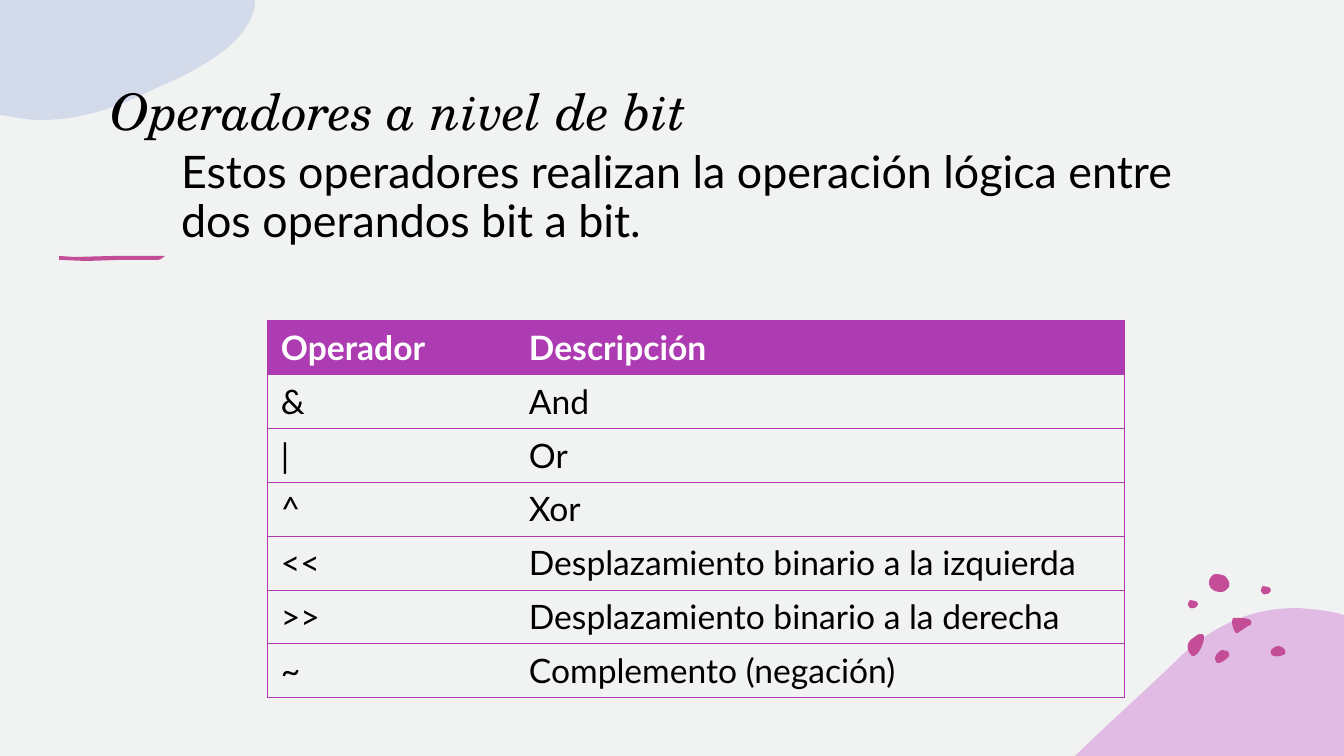
from dataclasses import dataclass

from lxml import etree
from pptx import Presentation
from pptx.dml.color import RGBColor
from pptx.enum.text import MSO_ANCHOR
from pptx.oxml.ns import qn
from pptx.util import Pt

PX = 914400 / 100.8
TOP, BOTTOM = MSO_ANCHOR.TOP, MSO_ANCHOR.BOTTOM
INSET_X, INSET_Y, CELL_BOTTOM = 14, 7, 6


@dataclass(frozen=True)
class Theme:
    """Colours, fonts and type sizes of the slide."""
    background: str = "F0F3F1"
    ink: str = "000000"
    header_ink: str = "FFFFFF"
    purple: str = "AD3BB1"
    orchid: str = "D384D6"
    periwinkle: str = "B8C5E7"
    magenta: str = "C34D96"
    title_font: str = "TeX Gyre Schola"
    body_font: str = "Lato"
    title_size: int = 36
    body_size: int = 32
    table_size: int = 24
    rule_width: float = 0.5


THEME = Theme()

CORNER_BLOB = [
    (0, 0), (255, 0), (255, 6), (247, 44, 202, 68, 159, 87),
    (124, 104, 87, 120, 41, 120), (31, 120, 22, 119, 13, 117), (0, 115),
]
HILL_BLOB = [
    (223, 0), (236, 1, 249, 2, 262, 5), (269, 7), (269, 148), (0, 148), (1, 147),
    (35, 114, 71, 82, 103, 51), (125, 29, 148, 16, 171, 8), (188, 2, 206, 0, 223, 0),
]
BRUSH_STROKE = [
    (1, 0), (17, 1), (54, 0), (107, 0), (103, 3), (100, 4), (60, 4), (28, 5), (3, 4), (1, 4),
]
PEBBLE = [
    (0, 5), (0, 5, 0, 1, 2, 0), (4, 0, 5, 0, 7, 1), (8, 1, 10, 2, 10, 4),
    (10, 5, 9, 7, 8, 7), (8, 7, 8, 8, 6, 8), (5, 8, 3, 9, 2, 8), (1, 6, 0, 6, 0, 5),
]
SPECKLES = [
    (28, 76, [
        (7, 0), (9, 0, 10, 0, 12, 1), (14, 2, 15, 4, 14, 6), (12, 9, 6, 14, 2, 13),
        (1, 12, 0, 10, 0, 8), (0, 6, 2, 3, 4, 2), (5, 1, 6, 0, 7, 0)]),
    (1, 60, [
        (12, 0), (14, 0, 16, 0, 16, 2), (16, 3, 16, 3, 16, 5), (15, 10, 13, 15, 10, 19),
        (8, 21, 5, 24, 3, 21), (0, 18, -1, 13, 0, 10), (1, 7, 3, 5, 5, 4),
        (6, 4, 9, 0, 12, 0)]),
    (84, 72, [
        (8, 0), (10, 0, 13, 2, 14, 4), (15, 6, 15, 8, 12, 9), (9, 11, 1, 11, 0, 8),
        (-1, 6, 0, 4, 1, 3), (3, 1, 5, 0, 8, 0)]),
    (22, 0, [
        (1, 12), (0, 12, -1, 6, 2, 3), (4, 1, 4, 0, 7, 0), (10, 0, 14, 1, 16, 2),
        (18, 4, 22, 9, 20, 13), (17, 16, 16, 18, 12, 18), (9, 18, 4, 17, 3, 15),
        (1, 14, 1, 13, 1, 12)]),
    (74, 12, PEBBLE),
    (1, 26, PEBBLE),
    (45, 44, [
        (5, 0), (11, 0, 22, 0, 19, 6), (19, 7, 18, 8, 16, 8), (13, 10, 10, 12, 7, 14),
        (6, 15, 5, 16, 4, 15), (4, 15, 3, 14, 3, 14), (1, 10, 0, 7, 0, 3),
        (0, 2, 0, 1, 1, 0), (2, 0, 4, 0, 5, 0)]),
]
OPERATORS = [
    ("Operador", "Descripción"),
    ("&", "And"),
    ("|", "Or"),
    ("^", "Xor"),
    ("<<", "Desplazamiento binario a la izquierda"),
    (">>", "Desplazamiento binario a la derecha"),
    ("~", "Complemento (negación)"),
]


def px(length):
    """Turn pixels into EMU."""
    return round(length * PX)


def rgb(code):
    """Turn a hex code into a colour."""
    return RGBColor.from_string(code)


def bend(blob, outline):
    """Turn the straight segments of a blob into the curves of its outline."""
    left = min(segment[-2] for segment in outline)
    top = min(segment[-1] for segment in outline)
    sides = list(blob._element.iter(qn("a:lnTo")))
    for side, segment in zip(sides, outline[1:]):
        if len(segment) == 2:
            continue
        curve = etree.Element(qn("a:cubicBezTo"))
        for x, y in zip(segment[::2], segment[1::2]):
            etree.SubElement(curve, qn("a:pt"), x=str(px(x - left)), y=str(px(y - top)))
        side.getparent().replace(side, curve)


def draw_blob(shapes, left, top, outline, color, opacity=100):
    """Draw one filled outline with its origin at left, top."""
    corners = [(px(left + segment[-2]), px(top + segment[-1])) for segment in outline]
    builder = shapes.build_freeform(*corners[0], scale=1.0)
    builder.add_line_segments(corners[1:], close=True)
    blob = builder.convert_to_shape()
    bend(blob, outline)
    blob.shadow.inherit = False
    blob.fill.solid()
    blob.fill.fore_color.rgb = rgb(color)
    blob.line.fill.background()
    if opacity < 100:
        tint = blob.fill._xPr.find(".//" + qn("a:srgbClr"))
        etree.SubElement(tint, qn("a:alpha"), val=str(opacity * 1000))


def write(frame, text, *, font, size, color=THEME.ink, bold=False, italic=False,
          spacing=1.0):
    """Put one formatted paragraph into a text frame."""
    paragraph = frame.paragraphs[0]
    paragraph.line_spacing = spacing
    run = paragraph.add_run()
    run.text = text
    run.font.name, run.font.size = font, Pt(size)
    run.font.bold, run.font.italic = bold, italic
    run.font.color.rgb = rgb(color)


def set_insets(holder, bottom=INSET_Y):
    """Give a text frame or a cell the common insets."""
    holder.margin_left = holder.margin_right = px(INSET_X)
    holder.margin_top, holder.margin_bottom = px(INSET_Y), px(bottom)


def add_text(shapes, box, text, anchor=TOP, **style):
    """Add a wrapping text box that fills the given box."""
    frame = shapes.add_textbox(*map(px, box)).text_frame
    frame.word_wrap = True
    frame.vertical_anchor = anchor
    set_insets(frame)
    write(frame, text, **style)


def set_borders(cell, visible):
    """Rule the visible sides of a cell and clear the others."""
    properties = cell._tc.get_or_add_tcPr()
    for side in "LRTB":
        rule = etree.SubElement(properties, qn(f"a:ln{side}"),
                                w=str(Pt(THEME.rule_width)))
        if side in visible:
            paint = etree.SubElement(rule, qn("a:solidFill"))
            etree.SubElement(paint, qn("a:srgbClr"), val=THEME.purple)
        else:
            etree.SubElement(rule, qn("a:noFill"))


def draw_decoration(shapes, width, height):
    """Place the blobs, speckles and brush stroke around the slide."""
    draw_blob(shapes, width - 269, height - 148, HILL_BLOB, THEME.orchid, 50)
    for x, y, outline in SPECKLES:
        draw_blob(shapes, width - 157 + x, height - 182 + y, outline, THEME.magenta)
    draw_blob(shapes, 0, 0, CORNER_BLOB, THEME.periwinkle, 50)
    draw_blob(shapes, 58, 256, BRUSH_STROKE, THEME.magenta)


def draw_heading(shapes, left, top, width):
    """Place the title and the introduction below it."""
    add_text(shapes, (left, top, width, 148), "Operadores a nivel de bit", BOTTOM,
             font=THEME.title_font, size=THEME.title_size, italic=True)
    add_text(shapes, (left + 71, top + 143, width - 100, 116),
             "Estos operadores realizan la operación lógica entre dos operandos bit a bit.",
             font=THEME.body_font, size=THEME.body_size, spacing=0.9)


def draw_operators(shapes, left, top, column_widths, row_height):
    """Place the table of operators."""
    table = shapes.add_table(
        len(OPERATORS), len(column_widths), px(left), px(top),
        px(sum(column_widths)), px(row_height * len(OPERATORS))).table
    table.horz_banding = table.first_row = False
    for column, width in zip(table.columns, column_widths):
        column.width = px(width)
    for row, entries in enumerate(OPERATORS):
        is_header = row == 0
        for column, entry in enumerate(entries):
            cell = table.cell(row, column)
            set_insets(cell, CELL_BOTTOM)
            cell.vertical_anchor = TOP
            set_borders(cell, "TB" + "LR"[column])
            if is_header:
                cell.fill.solid()
                cell.fill.fore_color.rgb = rgb(THEME.purple)
            else:
                cell.fill.background()
            write(cell.text_frame, entry, font=THEME.body_font, size=THEME.table_size,
                  color=THEME.header_ink if is_header else THEME.ink, bold=is_header)


def main():
    """Build the slide and save it."""
    width, height = 1344, 756
    deck = Presentation()
    deck.slide_width, deck.slide_height = px(width), px(height)
    slide = deck.slides.add_slide(deck.slide_layouts[6])
    slide.background.fill.solid()
    slide.background.fill.fore_color.rgb = rgb(THEME.background)
    draw_decoration(slide.shapes, width, height)
    draw_heading(slide.shapes, 96, 0, 1199)
    draw_operators(slide.shapes, 267, 320, (248, 609), 54)
    deck.save("out.pptx")


if __name__ == "__main__":
    main()
